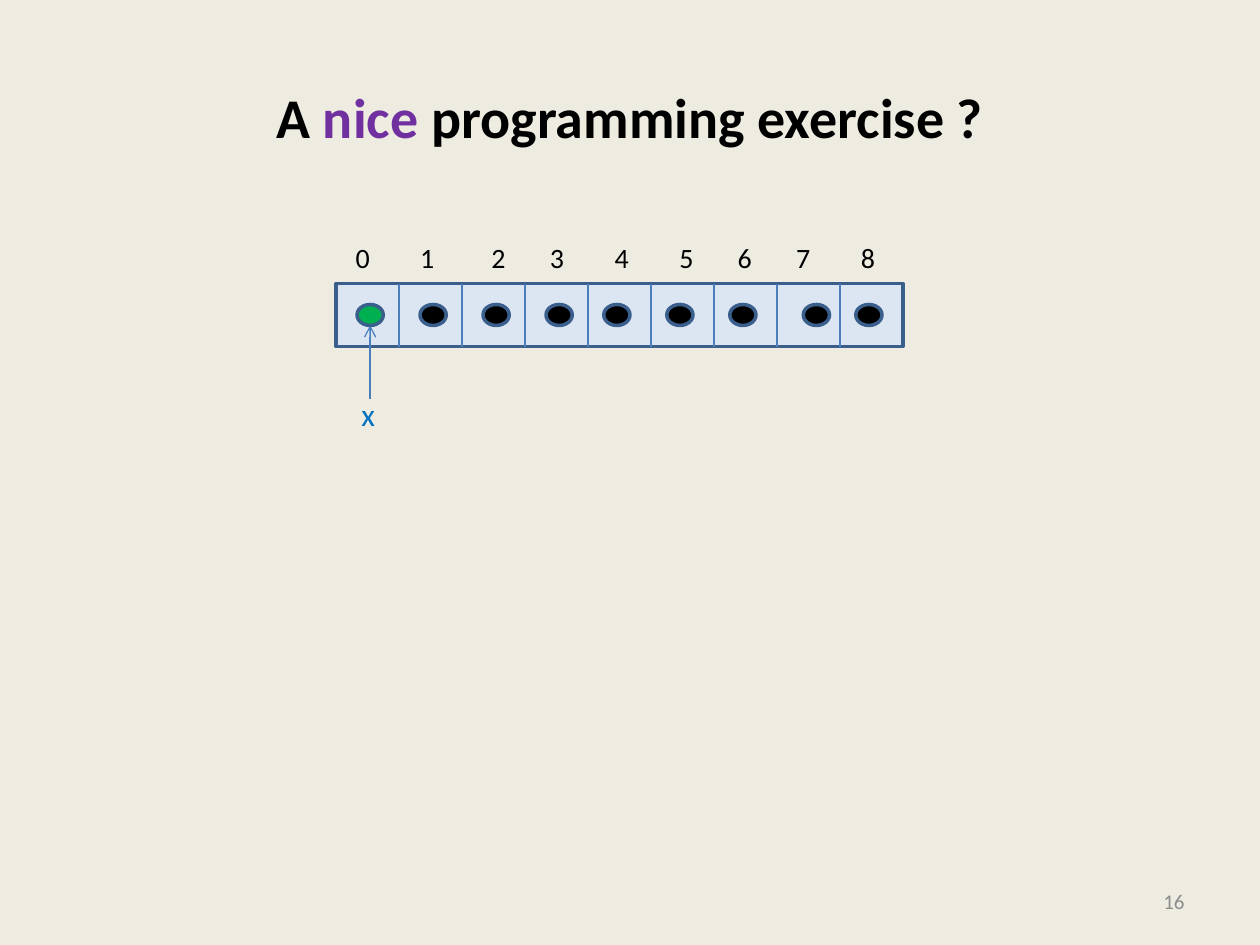
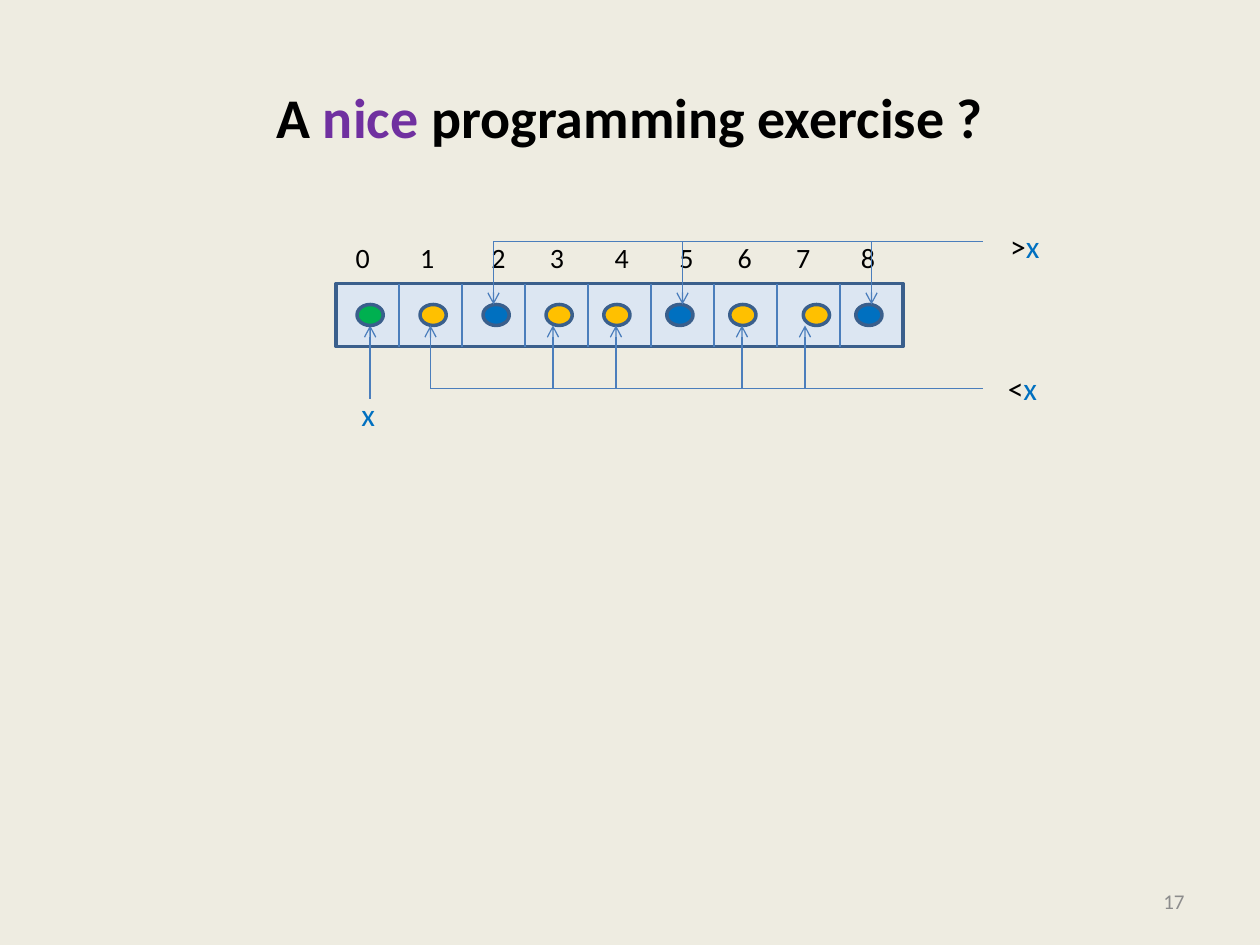
from dataclasses import dataclass
from itertools import accumulate

from lxml.etree import SubElement
from pptx import Presentation
from pptx.dml.color import RGBColor
from pptx.enum.shapes import MSO_CONNECTOR, MSO_SHAPE
from pptx.enum.text import MSO_ANCHOR, PP_ALIGN
from pptx.oxml.ns import qn
from pptx.shapes.autoshape import Shape
from pptx.shapes.shapetree import GroupShapes, SlideShapes
from pptx.slide import Slide
from pptx.text.text import TextFrame
from pptx.util import Pt

Shapes = SlideShapes | GroupShapes

# Shared colours and font
PAPER = RGBColor(0xEE, 0xEC, 0xE1)
CELL_FILL = RGBColor(0xDC, 0xE6, 0xF2)
OUTLINE = RGBColor(0x3A, 0x5F, 0x8C)
LINE = RGBColor(0x4B, 0x7E, 0xBC)
BLACK = RGBColor(0x00, 0x00, 0x00)
PURPLE = RGBColor(0x70, 0x30, 0xA0)
GRAY = RGBColor(0x8C, 0x8C, 0x8C)
GREEN = RGBColor(0x00, 0xB0, 0x50)
BLUE = RGBColor(0x00, 0x70, 0xC0)
AMBER = RGBColor(0xFF, 0xC0, 0x00)
FONT = "Calibri"

# Array geometry, in points
CELL_COUNT = 9
CELL_SIZE = 36
ROW_LEFT = 192
ROW_TOP = 162
ROW_BOTTOM = ROW_TOP + CELL_SIZE
DOT_WIDTH = 15
DOT_HEIGHT = 12
DOT_TOP = ROW_TOP + 12
DOT_BOTTOM = DOT_TOP + DOT_HEIGHT
DOT_INSETS = (12, 12, 12, 12, 9, 9, 9, 15, 9)
INDEX_START = 4
INDEX_STEPS = (37, 40.7, 33.4, 37, 37, 33.4, 33.4, 37)
PIVOT_X = ROW_LEFT + 12 + DOT_WIDTH / 2
TRUNK_END = 561.6
LABEL_HEIGHT = 28.8


@dataclass(frozen=True)
class Span:
    text: str
    color: RGBColor = BLACK
    size: float = 18
    bold: bool = False


@dataclass(frozen=True)
class Comparison:
    """A trunk line whose arrows point at the dots on one side of x."""
    sign: str
    arrow_xs: tuple[float, ...]
    trunk_y: float
    tip_y: float
    label_left: float
    label_top: float


@dataclass(frozen=True)
class Step:
    number: str
    dot_colors: tuple[RGBColor, ...]
    comparisons: tuple[Comparison, ...] = ()


TITLE = (
    Span("A ", BLACK, 32, True),
    Span("nice", PURPLE, 32, True),
    Span(" programming exercise ?", BLACK, 32, True),
)
SMALLER = Comparison("<", (246, 316, 352, 424, 460), 222, DOT_BOTTOM, 568.8, 207.4)
GREATER = Comparison(">", (282, 390, 498), 138, DOT_TOP, 570.2, 126)
STEPS = (
    Step("16", (GREEN,) + (BLACK,) * 8),
    Step(
        "17",
        (GREEN, AMBER, BLUE, AMBER, AMBER, BLUE, AMBER, AMBER, BLUE),
        (SMALLER, GREATER),
    ),
)


def write_spans(frame: TextFrame, spans: tuple[Span, ...], align: PP_ALIGN) -> None:
    para = frame.paragraphs[0]
    para.alignment = align
    for span in spans:
        run = para.add_run()
        run.text = span.text
        run.font.name = FONT
        run.font.size = Pt(span.size)
        run.font.bold = span.bold
        run.font.color.rgb = span.color


def add_label(shapes: Shapes, left: float, top: float, width: float,
              *spans: Span, align: PP_ALIGN = PP_ALIGN.LEFT) -> Shape:
    box = shapes.add_textbox(Pt(left), Pt(top), Pt(width), Pt(LABEL_HEIGHT))
    box.text_frame.word_wrap = True
    write_spans(box.text_frame, spans, align)
    return box


def add_line(shapes: Shapes, x1: float, y1: float, x2: float, y2: float,
             arrow: bool = False) -> None:
    line = shapes.add_connector(MSO_CONNECTOR.STRAIGHT, Pt(x1), Pt(y1), Pt(x2), Pt(y2))
    line.line.color.rgb = LINE
    line.line.width = Pt(0.75)
    properties = line._element.spPr
    if arrow:
        SubElement(properties.find(qn("a:ln")), qn("a:tailEnd"), type="arrow")
    SubElement(properties, qn("a:effectLst"))


def add_filled(shapes: Shapes, kind: MSO_SHAPE, left: float, top: float,
               width: float, height: float, color: RGBColor) -> None:
    shape = shapes.add_shape(kind, Pt(left), Pt(top), Pt(width), Pt(height))
    shape.shadow.inherit = False
    shape.fill.solid()
    shape.fill.fore_color.rgb = color
    shape.line.color.rgb = OUTLINE
    shape.line.width = Pt(2)


def add_array(shapes: Shapes) -> None:
    row_width = CELL_COUNT * CELL_SIZE
    add_filled(shapes, MSO_SHAPE.RECTANGLE, ROW_LEFT, ROW_TOP, row_width, CELL_SIZE, CELL_FILL)
    for cell in range(1, CELL_COUNT):
        x = ROW_LEFT + cell * CELL_SIZE
        add_line(shapes, x, ROW_TOP, x, ROW_BOTTOM)

    # Index digits on tab stops
    digits = "\t".join(str(cell) for cell in range(CELL_COUNT))
    box = add_label(shapes, ROW_LEFT, 132, 320, Span(" "), Span(digits, size=16))
    properties = box.text_frame.paragraphs[0]._p.get_or_add_pPr()
    tabs = SubElement(properties, qn("a:tabLst"))
    for stop in list(accumulate(INDEX_STEPS, initial=INDEX_START))[1:]:
        SubElement(tabs, qn("a:tab"), pos=str(int(Pt(stop))), algn="l")


def add_pivot(shapes: Shapes) -> None:
    add_line(shapes, PIVOT_X, 228, PIVOT_X, DOT_BOTTOM, arrow=True)
    add_label(shapes, 199.4, 222, 22.5, Span("x", BLUE))


def add_dots(shapes: Shapes, colors: tuple[RGBColor, ...]) -> None:
    for cell, (inset, color) in enumerate(zip(DOT_INSETS, colors)):
        left = ROW_LEFT + cell * CELL_SIZE + inset
        add_filled(shapes, MSO_SHAPE.OVAL, left, DOT_TOP, DOT_WIDTH, DOT_HEIGHT, color)


def add_comparison(shapes: Shapes, comparison: Comparison) -> None:
    trunk_y = comparison.trunk_y
    for x in comparison.arrow_xs:
        add_line(shapes, x, trunk_y, x, comparison.tip_y, arrow=True)
    add_line(shapes, comparison.arrow_xs[0], trunk_y, TRUNK_END, trunk_y)
    add_label(shapes, comparison.label_left, comparison.label_top, 32,
              Span(comparison.sign), Span("x", BLUE))


def add_title_and_number(page: Slide, number: str) -> None:
    title = page.shapes.title
    title.left, title.top, title.width, title.height = Pt(36), Pt(21.6), Pt(648), Pt(90)
    title.text_frame.vertical_anchor = MSO_ANCHOR.MIDDLE
    write_spans(title.text_frame, TITLE, PP_ALIGN.CENTER)
    box = add_label(page.shapes, 516, 500.5, 168, Span(number, GRAY, 12),
                    align=PP_ALIGN.RIGHT)
    box.text_frame.vertical_anchor = MSO_ANCHOR.MIDDLE


def main() -> None:
    deck = Presentation()
    deck.slide_width, deck.slide_height = Pt(720), Pt(540)
    background = deck.slide_master.background.fill
    background.solid()
    background.fore_color.rgb = PAPER

    for step in STEPS:
        page = deck.slides.add_slide(deck.slide_layouts.get_by_name("Title Only"))
        add_array(page.shapes.add_group_shape().shapes)
        add_title_and_number(page, step.number)
        add_pivot(page.shapes.add_group_shape().shapes)
        add_dots(page.shapes.add_group_shape().shapes, step.dot_colors)
        for comparison in step.comparisons:
            add_comparison(page.shapes.add_group_shape().shapes, comparison)

    deck.save("out.pptx")


if __name__ == "__main__":
    main()
